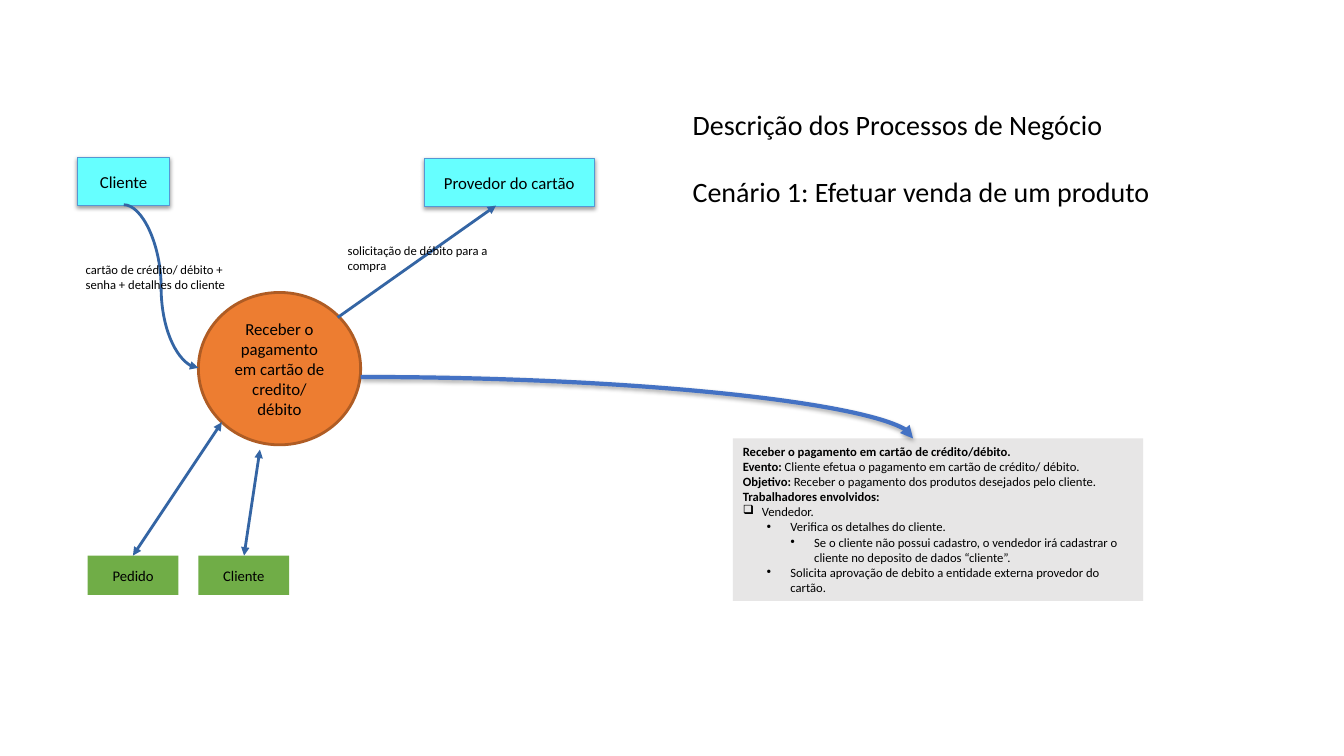
from lxml import etree
from pptx import Presentation
from pptx import util as u
from pptx.dml.color import RGBColor
from pptx.enum import shapes, text
from pptx.oxml import ns

BLACK = RGBColor(0x00, 0x00, 0x00)
ORANGE = RGBColor(0xED, 0x7D, 0x31)
BROWN = RGBColor(0xAF, 0x5C, 0x24)
CYAN = RGBColor(0x66, 0xFF, 0xFF)
SKY = RGBColor(0x55, 0x97, 0xD3)
GREEN = RGBColor(0x70, 0xAD, 0x47)
GREY = RGBColor(0xE7, 0xE6, 0xE6)
BLUE = RGBColor(0x44, 0x72, 0xC4)
STEEL = RGBColor(0x34, 0x65, 0xA4)


def add_node(parent, tag, **attributes):
    node = etree.SubElement(parent, ns.qn(tag))
    for key, value in attributes.items():
        node.set(key, str(value))
    return node


class ProcessSlide:
    """Draws the elements of a business process diagram in one style."""

    font = "Calibri"

    def __init__(self, deck):
        self.slide = deck.slides.add_slide(deck.slide_layouts[5])

    def style(self, paragraph, size, align=text.PP_ALIGN.LEFT):
        paragraph.alignment = align
        paragraph.font.name = self.font
        paragraph.font.size = u.Pt(size)
        paragraph.font.color.rgb = BLACK

    def shadow(self, effects, opacity):
        outer = add_node(effects, "a:outerShdw", blurRad=u.Pt(3.1), dist=u.Pt(1.6),
                         dir=5400000, algn="t", rotWithShape=0)
        color = add_node(outer, "a:srgbClr", val=BLACK)
        add_node(color, "a:alpha", val=opacity * 1000)

    def title(self, lines, box, size, gap):
        title = self.slide.shapes.title
        title.left, title.top, title.width, title.height = map(u.Cm, box)
        frame = title.text_frame
        frame.auto_size = text.MSO_AUTO_SIZE.NONE
        frame.vertical_anchor = text.MSO_ANCHOR.TOP
        frame.text = "\n".join(lines)
        for paragraph in frame.paragraphs:
            self.style(paragraph, size)
        frame.paragraphs[-1].space_before = u.Pt(gap)

    def node(self, wording, box, fill, size, kind=shapes.MSO_SHAPE.RECTANGLE,
             line=None, width=0.75, shadow=0):
        node = self.slide.shapes.add_shape(kind, *map(u.Cm, box))
        node.shadow.inherit = False
        node.fill.solid()
        node.fill.fore_color.rgb = fill
        if line is None:
            node.line.fill.background()
        else:
            node.line.color.rgb = line
            node.line.width = u.Pt(width)
        if shadow:
            self.shadow(node.element.spPr.find(ns.qn("a:effectLst")), shadow)
        node.text_frame.text = wording
        self.style(node.text_frame.paragraphs[0], size, text.PP_ALIGN.CENTER)

    def text_box(self, box):
        label = self.slide.shapes.add_textbox(*map(u.Cm, box))
        label.text_frame.word_wrap = True
        return label

    def label(self, wording, box):
        frame = self.text_box(box).text_frame
        frame.text = wording
        self.style(frame.paragraphs[0], 9)

    def description(self, facts, tasks, box):
        panel = self.text_box(box)
        panel.fill.solid()
        panel.fill.fore_color.rgb = GREY
        frame = panel.text_frame
        for index, (heading, detail) in enumerate(facts):
            paragraph = frame.paragraphs[0] if index == 0 else frame.add_paragraph()
            self.style(paragraph, 9)
            for wording, bold in ((heading, True), (detail, False)):
                if wording:
                    run = paragraph.add_run()
                    run.text = wording
                    run.font.bold = bold
        for level, task in tasks:
            paragraph = frame.add_paragraph()
            paragraph.text = task
            paragraph.level = level
            self.bullet(paragraph, level)
            self.style(paragraph, 9)

    def bullet(self, paragraph, level):
        margin, hang, mark, scale = ((0.48, 0.48, "❑", 100), (1.2, 0.6, "●", 45),
                                     (1.8, 0.6, "●", 45))[level]
        properties = paragraph._p.get_or_add_pPr()
        properties.set("marL", str(u.Cm(margin)))
        properties.set("indent", str(-u.Cm(hang)))
        add_node(add_node(properties, "a:buClr"), "a:srgbClr", val=BLACK)
        add_node(properties, "a:buSzPct", val=scale * 1000)
        add_node(properties, "a:buChar", char=mark)

    def arrow(self, start, end, color=STEEL, width=0, both=False, curve=None, shadow=0):
        kind = shapes.MSO_CONNECTOR.CURVE if curve else shapes.MSO_CONNECTOR.STRAIGHT
        arrow = self.slide.shapes.add_connector(kind, *map(u.Cm, start + end))
        arrow.line.color.rgb = color
        arrow.line.width = u.Pt(width)
        properties = arrow.element.spPr
        if curve:
            properties.find(ns.qn("a:prstGeom")).set("prst", curve)
        line = arrow.line._get_or_add_ln()
        if both:
            add_node(line, "a:headEnd", type="triangle")
        add_node(line, "a:tailEnd", type="triangle")
        effects = add_node(properties, "a:effectLst")
        if shadow:
            self.shadow(effects, shadow)


deck = Presentation()
deck.slide_width, deck.slide_height = u.Cm(33.87), u.Cm(19.05)
process = ProcessSlide(deck)

process.title(("Descrição dos Processos de Negócio", "Cenário 1: Efetuar venda de um produto"),
              (17.2, 2.57, 14.15, 2.82), size=20, gap=24.4)
process.node("Receber o pagamento em cartão de credito/ débito", (5, 7.37, 4.09, 3.84),
             ORANGE, 12, shapes.MSO_SHAPE.OVAL, BROWN, 2)
for entity, box in (("Cliente", (1.96, 3.96, 2.31, 1.22)),
                    ("Provedor do cartão", (10.69, 3.99, 4.29, 1.22))):
    process.node(entity, box, CYAN, 12, line=SKY, shadow=38)
for store, left in (("Pedido", 2.21), ("Cliente", 5)):
    process.node(store, (left, 14, 2.29, 0.99), GREEN, 10.5)

process.description(
    (("Receber o pagamento em cartão de crédito/débito.", ""),
     ("Evento:", " Cliente efetua o pagamento em cartão de crédito/ débito."),
     ("Objetivo: ", "Receber o pagamento dos produtos desejados pelo cliente."),
     ("Trabalhadores envolvidos:", "")),
    ((0, "Vendedor."),
     (1, "Verifica os detalhes do cliente."),
     (2, "Se o cliente não possui cadastro, o vendedor irá cadastrar o cliente "
         "no deposito de dados “cliente”."),
     (1, "Solicita aprovação de debito a entidade externa provedor do cartão.")),
    (18.47, 11.05, 10.34, 4.09))

process.arrow((9.09, 9.5), (23.01, 11.05), BLUE, 3, curve="curvedConnector2", shadow=35)
process.arrow((3.12, 5.16), (5, 9.27), curve="curvedConnector3")
process.arrow((5.59, 10.64), (3.35, 14), both=True)
process.arrow((6.55, 11.33), (6.15, 14), both=True)
process.arrow((8.51, 8), (12.5, 5.18))
process.label("cartão de crédito/ débito + senha + detalhes do cliente", (1.91, 6.48, 4.09, 1.02))
process.label("solicitação de débito para a compra", (8.51, 5.99, 4.09, 1.02))

deck.save("out.pptx")
